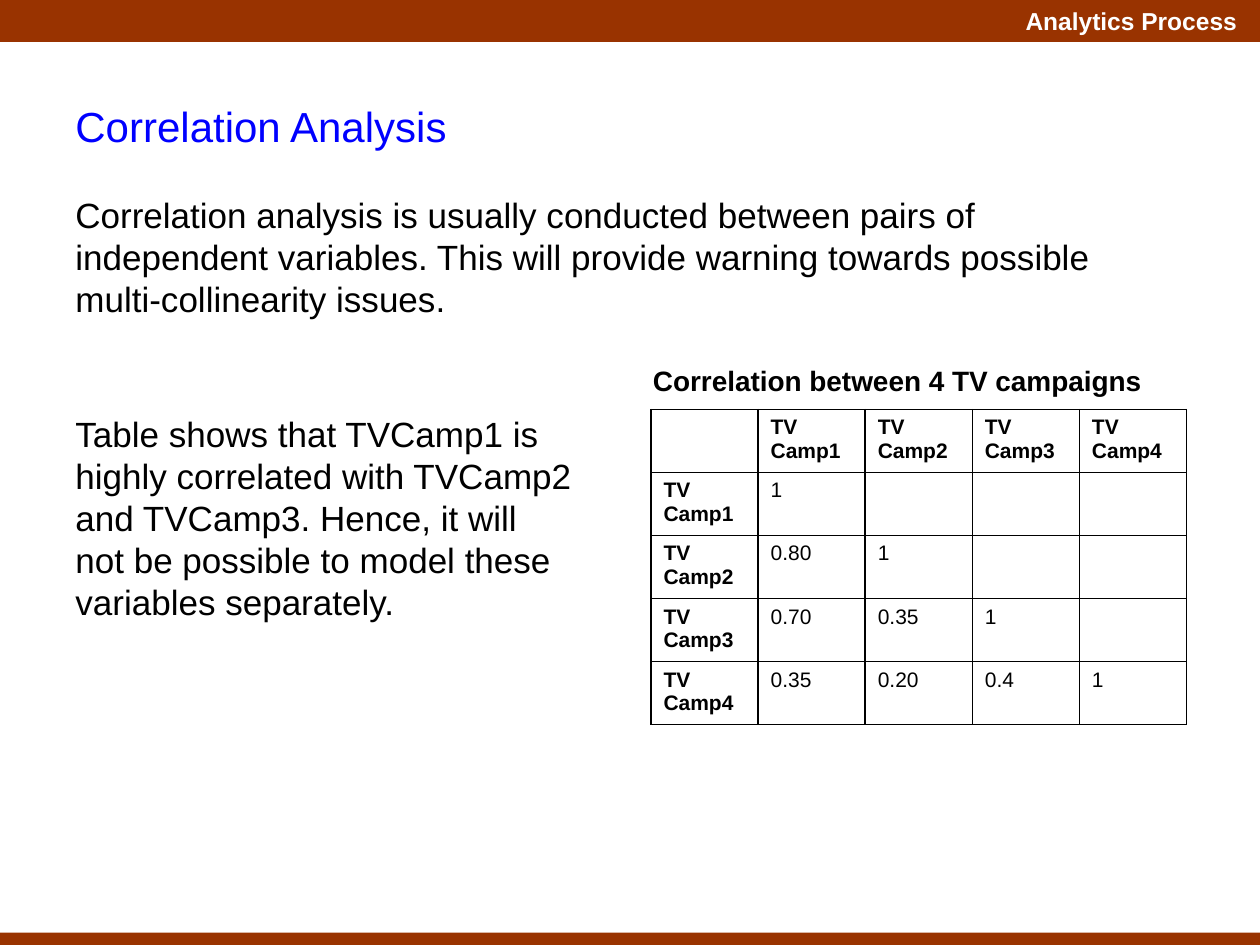
import pptx
import pptx.dml.color
import pptx.enum.shapes
import pptx.enum.text
import pptx.oxml
import pptx.oxml.ns
import pptx.util
from pptx.util import Pt

BROWN, WHITE, BLUE, BLACK = "993300", "FFFFFF", "0000FF", "000000"
LEFT = pptx.enum.text.PP_ALIGN.LEFT
RIGHT = pptx.enum.text.PP_ALIGN.RIGHT


def color(value):
    return pptx.dml.color.RGBColor.from_string(value)


class SlideWriter:
    """Holds the slide and its text style, and adds elements to it."""

    font = "Arial"
    leading = 1.2

    def __init__(self, slide):
        self.slide = slide

    def span(self, para, text, size, ink=BLACK, bold=False):
        span = para.add_run()
        span.text = text
        span.font.name = self.font
        span.font.size = Pt(size)
        span.font.bold = bold
        span.font.color.rgb = color(ink)

    def band(self, top, height):
        band = self.slide.shapes.add_shape(
            pptx.enum.shapes.MSO_SHAPE.RECTANGLE, 0, Pt(top), Pt(720), Pt(height))
        band.shadow.inherit = False
        band.fill.solid()
        band.fill.fore_color.rgb = color(BROWN)
        band.line.fill.background()

    def text(self, left, top, width, height, align=LEFT):
        box = self.slide.shapes.add_textbox(Pt(left), Pt(top), Pt(width), Pt(height))
        box.text_frame.word_wrap = True
        box.text_frame.paragraphs[0].alignment = align
        return box.text_frame

    def line(self, para, text, size, ink=BLACK, bold=False):
        para.line_spacing = Pt(size * self.leading)
        self.span(para, text, size, ink, bold)

    def border(self, cell):
        properties = cell._tc.get_or_add_tcPr()
        for position, side in enumerate(("lnL", "lnR", "lnT", "lnB")):
            properties.insert(position, pptx.oxml.parse_xml(
                f'<a:{side} {pptx.oxml.ns.nsdecls("a")} w="{Pt(1)}">'
                f'<a:solidFill><a:srgbClr val="{BLACK}"/></a:solidFill></a:{side}>'))

    def table(self, left, top, column_width, row_height, rows):
        row_count, column_count = len(rows), len(rows[0])
        table = self.slide.shapes.add_table(
            row_count, column_count, Pt(left), Pt(top),
            Pt(column_width * column_count), Pt(row_height * row_count)).table
        table.first_row = table.horz_banding = False
        for r, row in enumerate(rows):
            for c, text in enumerate(row):
                cell = table.cell(r, c)
                cell.fill.background()
                self.border(cell)
                if text:
                    self.span(cell.text_frame.paragraphs[0], text, 12,
                              bold=r == 0 or c == 0)


def main():
    deck = pptx.Presentation()
    deck.slide_width, deck.slide_height = Pt(720), Pt(540)
    page = SlideWriter(deck.slides.add_slide(deck.slide_layouts[6]))

    # Header and footer bands
    page.band(0, 24)
    header = page.text(413, 0, 301, 24, RIGHT)
    page.line(header.paragraphs[0], "Analytics Process", 14, WHITE, True)
    page.band(533, 7)

    # Title and introduction
    intro = page.text(36, 54, 630, 133)
    page.line(intro.paragraphs[0], "Correlation Analysis", 24, BLUE)
    para = intro.add_paragraph()
    para.space_before = Pt(24)
    page.line(para, "Correlation analysis is usually conducted between pairs of "
              "independent variables. This will provide warning towards possible "
              "multi-collinearity issues.", 20)

    # Correlation table: lower triangle with a unit diagonal
    campaigns = [f"TV Camp{number}" for number in range(1, 5)]
    correlations = [[], ["0.80"], ["0.70", "0.35"], ["0.35", "0.20", "0.4"]]
    rows = [["", *campaigns]]
    for campaign, values in zip(campaigns, correlations):
        blanks = [""] * (len(campaigns) - len(values) - 1)
        rows.append([campaign, *values, "1", *blanks])
    page.table(372, 234, 61.2, 36, rows)

    # Finding beside the table
    finding = page.text(36, 232, 300, 128)
    page.line(finding.paragraphs[0], "Table shows that TVCamp1 is highly correlated "
              "with TVCamp2 and TVCamp3. Hence, it will not be possible to model "
              "these variables separately.", 20)

    # Table heading
    heading = page.text(366, 204, 306, 27)
    page.line(heading.paragraphs[0], "Correlation between 4 TV campaigns", 16, bold=True)

    deck.save("out.pptx")


if __name__ == "__main__":
    main()
